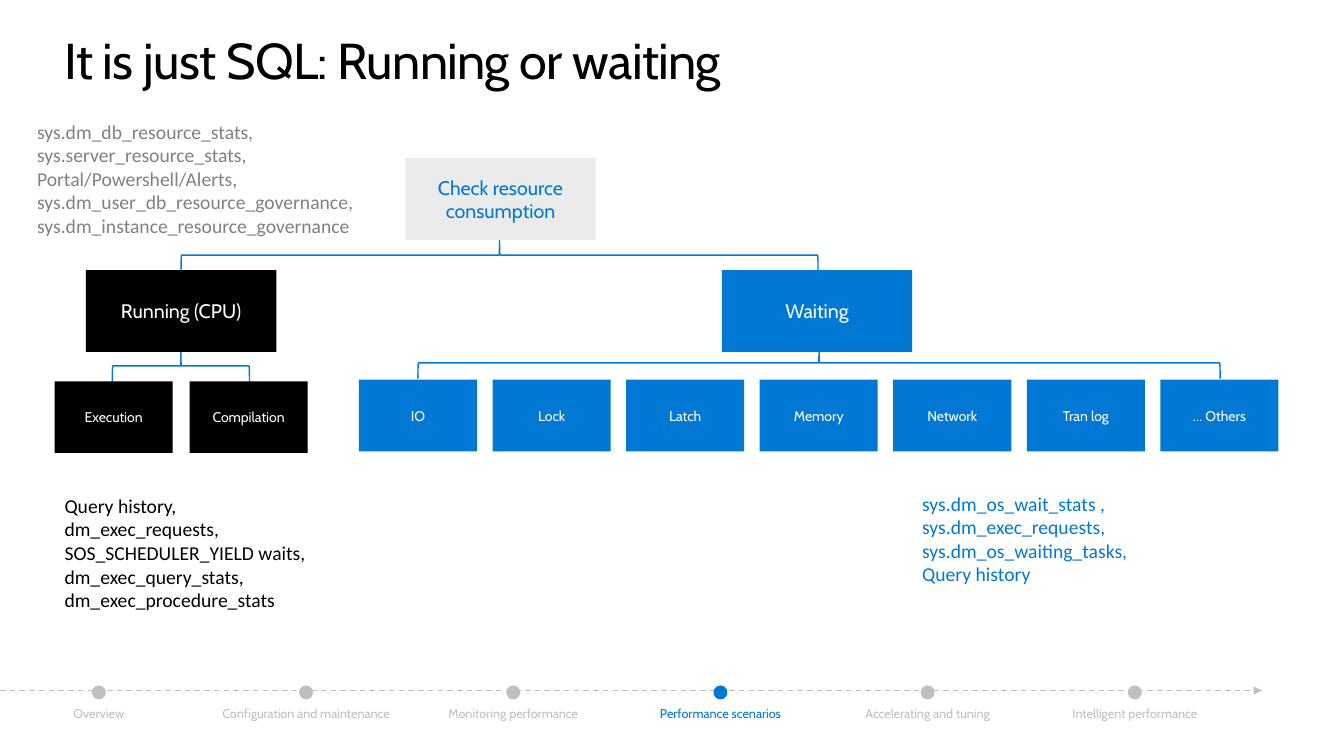
from typing import NamedTuple

from lxml.etree import SubElement
from pptx import Presentation
from pptx.dml.color import RGBColor
from pptx.enum.dml import MSO_LINE
from pptx.enum.shapes import MSO_CONNECTOR, MSO_SHAPE
from pptx.enum.text import MSO_ANCHOR, MSO_AUTO_SIZE, PP_ALIGN
from pptx.oxml.ns import qn
from pptx.util import Pt

BLACK = RGBColor(0x00, 0x00, 0x00)
WHITE = RGBColor(0xFF, 0xFF, 0xFF)
BLUE = RGBColor(0x00, 0x78, 0xD4)
PALE = RGBColor(0xEB, 0xEB, 0xEB)
GRAY = RGBColor(0x80, 0x80, 0x80)
SILVER = RGBColor(0xBF, 0xBF, 0xBF)


class Box(NamedTuple):
    text: str
    left: float
    top: float
    fill: RGBColor
    ink: RGBColor = WHITE
    width: float = 136
    height: float = 58.4
    size: float = 14
    side: float = 14.4


class Brace(NamedTuple):
    mid: float
    top: float
    span: float


class Note(NamedTuple):
    lines: list[str]
    left: float
    top: float
    width: float
    height: float
    ink: RGBColor


class Step(NamedTuple):
    text: str
    width: float
    ink: RGBColor = SILVER


def small(text: str, left: float, top: float, fill: RGBColor) -> Box:
    """Describe a box of the lowest row."""
    return Box(text, left, top, fill, width=84.4, height=51.2, size=10, side=7.2)


WAITS = ["IO", "Lock", "Latch", "Memory", "Network", "Tran log", "… Others"]
BOXES = [
    Box("Check resource consumption", 289.6, 113, PALE, BLUE),
    Box("Running (CPU)", 61.4, 193, BLACK),
    Box("Waiting", 515.6, 193, BLUE),
    small("Execution", 39, 272.4, BLACK),
    small("Compilation", 135.4, 272.4, BLACK),
    *(small(name, 256.4 + 95.4 * i, 271.2, BLUE) for i, name in enumerate(WAITS)),
]
BRACES = [Brace(129.2, 250.2, 98), Brace(356.8, 171, 455), Brace(585, 248, 573)]
NOTES = [
    Note(["sys.dm_db_resource_stats,", "sys.server_resource_stats,",
          "Portal/Powershell/Alerts,", "sys.dm_user_db_resource_governance,",
          "sys.dm_instance_resource_governance"], 19.4, 82, 247.6, 108.8, GRAY),
    Note(["Query history,", "dm_exec_requests,", "SOS_SCHEDULER_YIELD waits,",
          "dm_exec_query_stats,", "dm_exec_procedure_stats"],
         39, 349.2, 224.6, 92.2, BLACK),
    Note(["sys.dm_os_wait_stats ,", "sys.dm_exec_requests,",
          "sys.dm_os_waiting_tasks,", "Query history"],
         651.6, 347.6, 288.8, 75, BLUE),
]
STEPS = [
    Step("Overview", 36.8),
    Step("Configuration and maintenance", 131),
    Step("Monitoring performance", 108),
    Step("Performance scenarios", 98, BLUE),
    Step("Accelerating and tuning", 103.6),
    Step("Intelligent performance", 113),
]


def write(shape, lines: list[str], *, size: float, ink: RGBColor,
          font: str = "Cabin", align=PP_ALIGN.LEFT, anchor=MSO_ANCHOR.TOP,
          side: float = 0, edge: float = 0, grow: bool = True,
          wrap: bool = True, space: int = 0) -> None:
    """Fill a shape with formatted lines of text."""
    frame = shape.text_frame
    frame.word_wrap = wrap
    frame.auto_size = MSO_AUTO_SIZE.SHAPE_TO_FIT_TEXT if grow else MSO_AUTO_SIZE.NONE
    frame.vertical_anchor = anchor
    frame.margin_left = frame.margin_right = Pt(side)
    frame.margin_top = frame.margin_bottom = Pt(edge)
    for i, line in enumerate(lines):
        para = frame.paragraphs[0] if i == 0 else frame.add_paragraph()
        para.alignment = align
        run = para.add_run()
        run.text = line
        run.font.name = font
        run.font.size = Pt(size)
        run.font.color.rgb = ink
        if space:
            run._r.get_or_add_rPr().set("spc", str(space))


def solid(slide, kind: MSO_SHAPE, left: float, top: float, width: float,
          height: float, fill: RGBColor):
    """Add a filled shape with no outline."""
    shape = slide.shapes.add_shape(kind, Pt(left), Pt(top), Pt(width), Pt(height))
    shape.shadow.inherit = False
    shape.fill.solid()
    shape.fill.fore_color.rgb = fill
    shape.line.fill.background()
    return shape


def add_box(slide, box: Box) -> None:
    """Draw one node of the tree."""
    shape = solid(slide, MSO_SHAPE.RECTANGLE, box.left, box.top,
                  box.width, box.height, box.fill)
    write(shape, [box.text], size=box.size, ink=box.ink, align=PP_ALIGN.CENTER,
          anchor=MSO_ANCHOR.MIDDLE, side=box.side, edge=11.5, grow=False)


def add_brace(slide, brace: Brace) -> None:
    """Draw a brace turned to point up at its parent."""
    depth = 22.4
    shape = slide.shapes.add_shape(
        MSO_SHAPE.LEFT_BRACE, Pt(brace.mid - depth / 2),
        Pt(brace.top + depth / 2 - brace.span / 2), Pt(depth), Pt(brace.span))
    shape.rotation = 90
    shape.adjustments[0] = 0.015
    shape.shadow.inherit = False
    shape.fill.background()
    shape.line.color.rgb = BLUE
    shape.line.width = Pt(1)


def add_note(slide, note: Note) -> None:
    """Draw a list of views to query."""
    shape = slide.shapes.add_textbox(Pt(note.left), Pt(note.top),
                                     Pt(note.width), Pt(note.height))
    write(shape, note.lines, size=14, ink=note.ink, font="Calibri", side=7.2, edge=3.6)


def add_track(slide, steps: list[Step]) -> None:
    """Draw the dashed arrow with its dots and labels."""
    line = slide.shapes.add_connector(MSO_CONNECTOR.STRAIGHT, Pt(0), Pt(493.2),
                                      Pt(901.4), Pt(493.2))
    line.line.color.rgb = SILVER
    line.line.width = Pt(1)
    line.line.dash_style = MSO_LINE.DASH
    SubElement(line.line._get_or_add_ln(), qn("a:tailEnd"), type="triangle")
    SubElement(line._element.spPr, qn("a:effectLst"))
    for i, step in enumerate(steps):
        mid = 70.6 + 148 * i
        solid(slide, MSO_SHAPE.OVAL, mid - 5, 489.6, 10, 10, step.ink)
        label = slide.shapes.add_textbox(Pt(mid - step.width / 2), Pt(504),
                                         Pt(step.width), Pt(10.8))
        write(label, [step.text], size=9, ink=step.ink, align=PP_ALIGN.CENTER,
              wrap=i > 0)


def main() -> None:
    """Build and save the slide."""
    deck = Presentation()
    deck.slide_width, deck.slide_height = Pt(960), Pt(540)
    slide = deck.slides.add_slide(deck.slide_layouts[5])
    title = slide.shapes.title
    title.left, title.top, title.width, title.height = Pt(46), Pt(21), Pt(868), Pt(44)
    write(title, ["It is just SQL: Running or waiting"], size=36, ink=BLACK, space=-50)
    for brace in BRACES:
        add_brace(slide, brace)
    for box in BOXES:
        add_box(slide, box)
    for note in NOTES:
        add_note(slide, note)
    add_track(slide, STEPS)
    deck.save("out.pptx")


if __name__ == "__main__":
    main()
